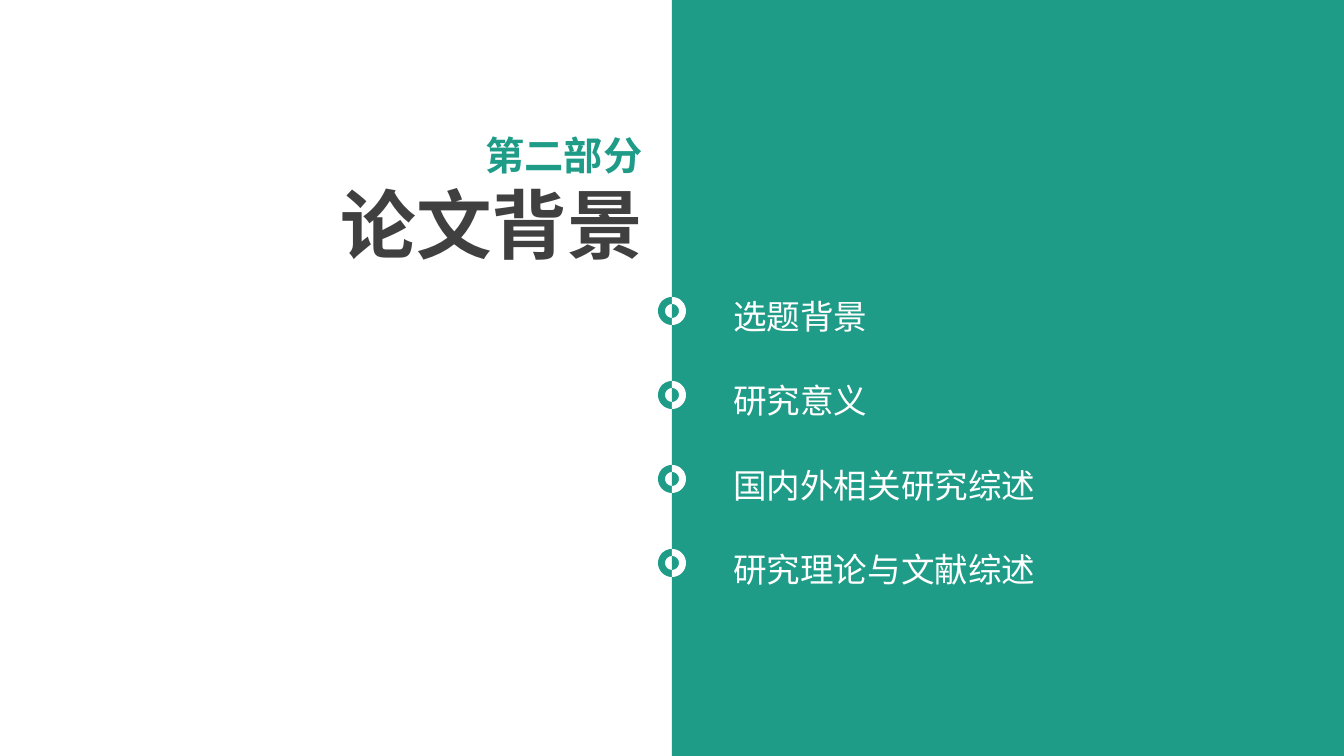
from math import cos, radians, sin

from lxml.etree import SubElement
from pptx import Presentation
from pptx.dml.color import RGBColor
from pptx.enum.shapes import MSO_SHAPE as Preset
from pptx.enum.text import MSO_ANCHOR as Anchor, MSO_AUTO_SIZE as Fit, PP_ALIGN as Align
from pptx.oxml.ns import qn
from pptx.util import Pt

PX = 914400 / 100.8
COLORS = {"teal": "1E9C87", "dark": "404040", "white": "FFFFFF"}
FONT = "Noto Sans CJK SC"
TOPICS = ["选题背景", "研究意义", "国内外相关研究综述", "研究理论与文献综述"]


def emu(px):
    return round(px * PX)


class SectionPage:
    """Draws the elements of a section page in one shared style."""

    def __init__(self, deck):
        self.page = deck.slides.add_slide(deck.slide_layouts[1])
        self.title, self.body = self.page.placeholders

    def paint(self, shape, color):
        shape.shadow.inherit = False
        shape.fill.solid()
        shape.fill.fore_color.rgb = RGBColor.from_string(COLORS[color])
        shape.line.fill.background()

    def panel(self, left, top, width, height, color):
        box = self.page.shapes.add_shape(Preset.RECTANGLE, *map(emu, (left, top, width, height)))
        self.paint(box, color)
        self.page.shapes.element.insert(2, box.element)

    def half_ring(self, x, y, outer, inner, start, color):
        angles = [radians(angle) for angle in range(start, start + 181, 10)]
        rim = [(emu(x + outer * cos(a)), emu(y + outer * sin(a))) for a in angles]
        hole = [(emu(x + inner * cos(a)), emu(y + inner * sin(a))) for a in reversed(angles)]
        outline = self.page.shapes.build_freeform(*rim[0])
        outline.add_line_segments(rim[1:] + hole, close=True)
        self.paint(outline.convert_to_shape(), color)

    def place(self, box, left, top, width, height, **frame):
        box.left, box.top, box.width, box.height = map(emu, (left, top, width, height))
        for name, value in frame.items():
            setattr(box.text_frame, name, value)

    def add_text(self, para, text, size, color, bold=False, **layout):
        for name, value in layout.items():
            setattr(para, name, value)
        span = para.add_run()
        span.text = text
        for name, value in {"name": FONT, "size": Pt(size), "bold": bold}.items():
            setattr(span.font, name, value)
        span.font.color.rgb = RGBColor.from_string(COLORS[color])
        SubElement(span.font._element, qn("a:ea"), typeface=FONT)

    def heading(self, box, area, text, size, color, alignment):
        self.place(box, *area, word_wrap=False, auto_size=Fit.SHAPE_TO_FIT_TEXT,
                   vertical_anchor=Anchor.TOP)
        self.add_text(box.text_frame.paragraphs[0], text, size, color, True, alignment=alignment)

    def topic_list(self, area, topics):
        self.place(self.body, *area, word_wrap=True, auto_size=Fit.NONE,
                   vertical_anchor=Anchor.TOP, margin_top=0, margin_bottom=0)
        frame = self.body.text_frame
        for index, topic in enumerate(topics):
            para = frame.add_paragraph() if index else frame.paragraphs[0]
            self.add_text(para, topic, 24, "white", alignment=Align.LEFT,
                          line_spacing=Pt(60.25), space_before=Pt(0), space_after=Pt(0))
            settings = para._element.get_or_add_pPr()
            settings.set("marL", "0")
            settings.set("indent", "0")
            SubElement(settings, qn("a:buNone"))


def main():
    deck = Presentation()
    deck.slide_width, deck.slide_height = emu(1344), emu(756)
    section = SectionPage(deck)
    section.panel(672, 0, 672, 756, "teal")
    section.heading(section.title, (328, 173, 325, 102), "论文背景", 54, "dark", Align.RIGHT)
    kicker = section.page.shapes.add_textbox(0, 0, 0, 0)
    section.heading(kicker, (475, 126, 178, 57), "第二部分", 28, "teal", Align.CENTER)
    section.topic_list((723, 252, 326, 338), TOPICS)
    for index in range(len(TOPICS)):
        for start, color in ((90, "teal"), (-90, "white")):
            section.half_ring(672, 311 + 84 * index, 14, 7, start, color)
    deck.save("out.pptx")


if __name__ == "__main__":
    main()
